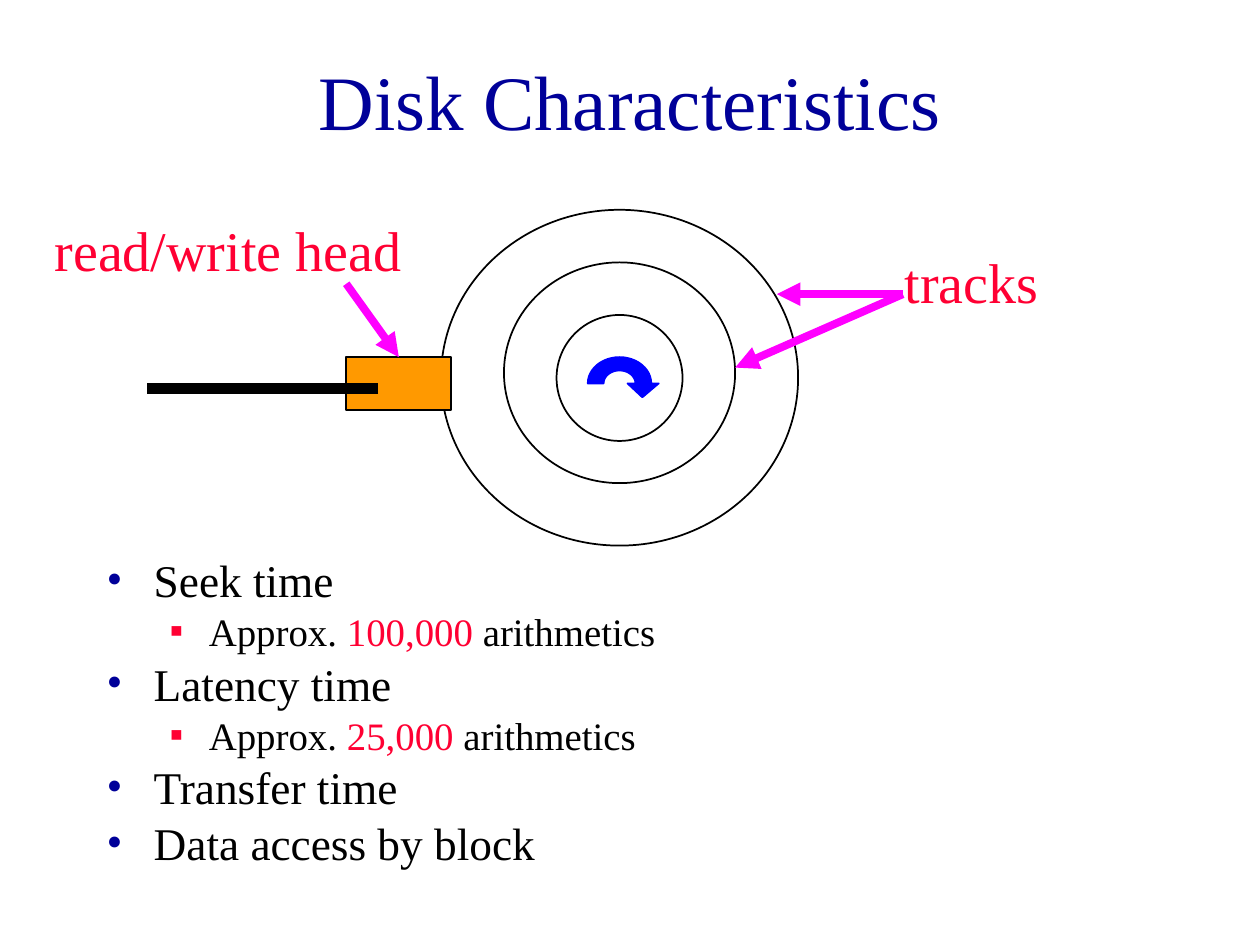
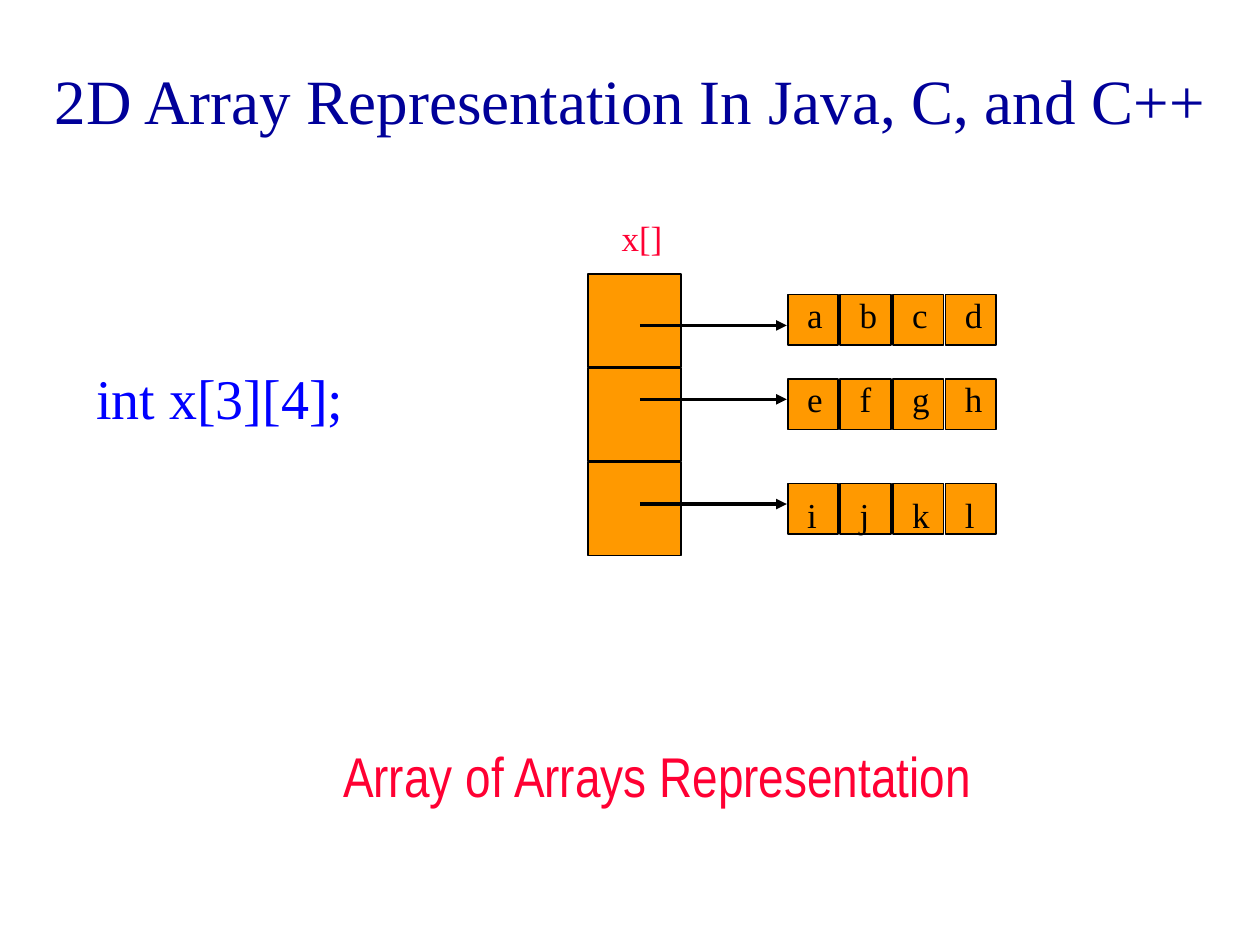
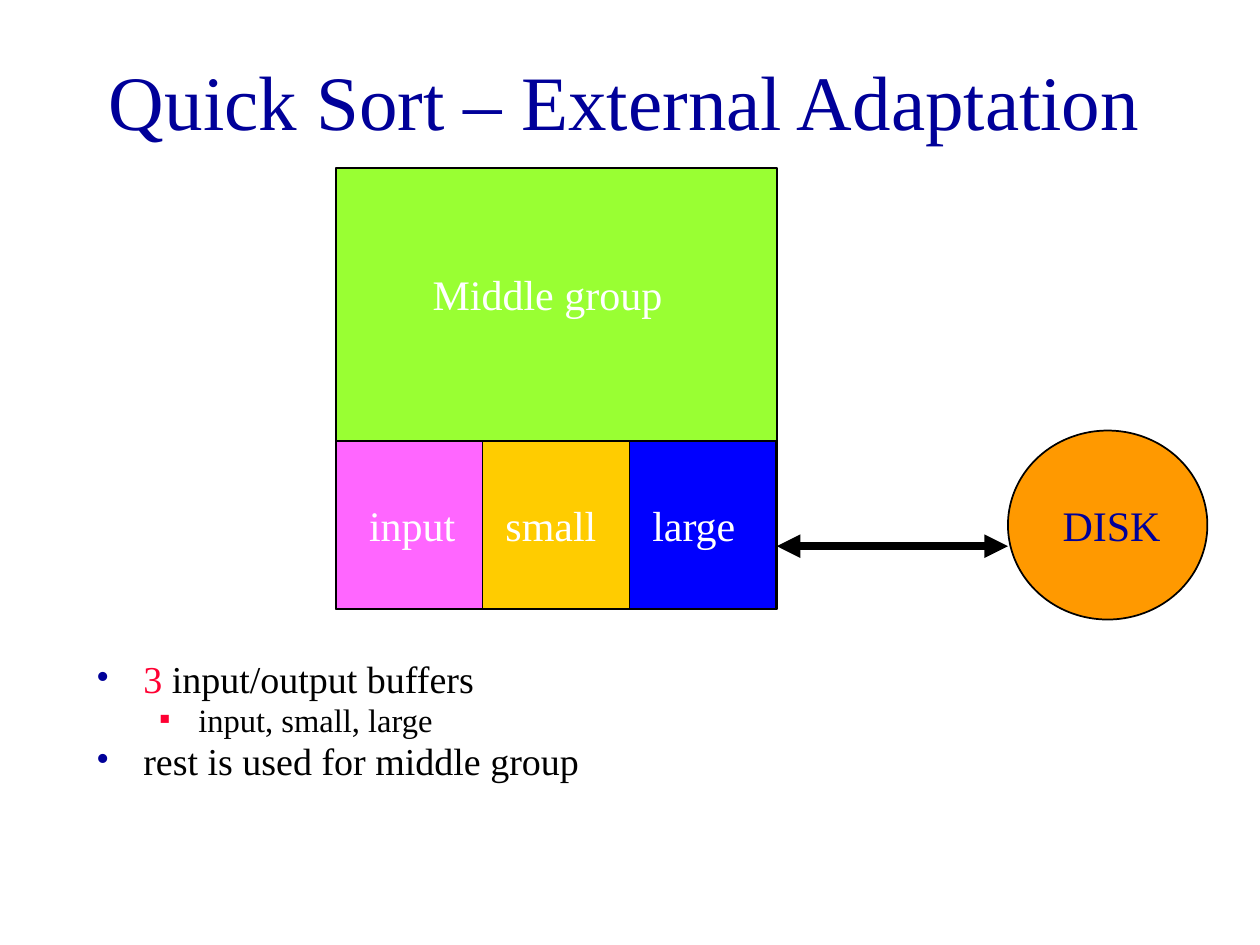
import math
from dataclasses import dataclass
from typing import NamedTuple, Optional

import lxml.etree
import pptx
import pptx.dml.color
import pptx.enum.shapes
import pptx.enum.text
import pptx.oxml.ns
import pptx.util

Cm = pptx.util.Cm
Pt = pptx.util.Pt
Kind = pptx.enum.shapes.MSO_SHAPE
Align = pptx.enum.text.PP_ALIGN


@dataclass(frozen=True)
class Theme:
    serif: str = "Times New Roman"
    narrow: str = "Arial Narrow"
    navy: str = "000099"
    red: str = "FF0033"
    black: str = "000000"
    white: str = "FFFFFF"
    blue: str = "0000FF"
    orange: str = "FF9900"
    magenta: str = "FF00FF"
    pink: str = "FF66FF"
    gold: str = "FFCC00"
    lime: str = "99FF33"
    title: float = 44
    long_title: float = 36
    large: float = 32
    medium: float = 24
    small: float = 20
    disk_list: tuple = (25.9, 22.2)
    sort_list: tuple = (21.7, 18.6)
    thin: float = 1
    mid: float = 2
    thick: float = 4.5
    bar: float = 6


class Box(NamedTuple):
    """Left, top, width and height in centimetres."""
    x: float
    y: float
    w: float
    h: float

    def emu(self) -> tuple:
        return tuple(Cm(v) for v in self)


class Level(NamedTuple):
    mark: str
    color: str
    left: float
    hang: float
    before: float


class Item(NamedTuple):
    """A bullet line; every second string of the text is red."""
    words: tuple
    level: int = 0


class Label(NamedTuple):
    text: str
    box: Box
    size: float
    color: str


class Arrow(NamedTuple):
    start: tuple
    end: tuple
    color: str
    width: float
    head: bool = False
    tail: bool = True


class Buffer(NamedTuple):
    name: str
    fill: str
    inset: float


T = Theme()
LEVELS = (Level("•", T.navy, 0.95, 0.95, 7), Level("▪", T.red, 2.06, 0.79, 6))


def rgb(code: str) -> pptx.dml.color.RGBColor:
    return pptx.dml.color.RGBColor.from_string(code)


def tag(parent, name: str, **attrs: str):
    return lxml.etree.SubElement(parent, pptx.oxml.ns.qn(name), attrs)


def write(par, text: str, *, size: float, color: str, font: str = T.serif) -> None:
    run = par.add_run()
    run.text = text
    run.font.size = Pt(size)
    run.font.name = font
    run.font.color.rgb = rgb(color)


def start(deck, title: str, box: Box, size: float = T.title):
    """Add a slide with its title and return it."""
    slide = deck.slides.add_slide(deck.slide_layouts[5])
    head = slide.shapes.title
    head.left, head.top, head.width, head.height = box.emu()
    frame = head.text_frame
    frame.auto_size = pptx.enum.text.MSO_AUTO_SIZE.NONE
    frame.vertical_anchor = pptx.enum.text.MSO_ANCHOR.MIDDLE
    par = frame.paragraphs[0]
    par.alignment = Align.CENTER
    write(par, title, size=size, color=T.navy)
    return slide


def frame_at(slide, box: Box):
    frame = slide.shapes.add_textbox(*box.emu()).text_frame
    frame.word_wrap = True
    return frame


def label(slide, item: Label, font: str = T.serif, align=Align.LEFT) -> None:
    par = frame_at(slide, item.box).paragraphs[0]
    par.alignment = align
    write(par, item.text, size=item.size, color=item.color, font=font)


def bullets(slide, box: Box, items: tuple, sizes: tuple, spacing: float) -> None:
    frame = frame_at(slide, box)
    for i, item in enumerate(items):
        par = frame.add_paragraph() if i else frame.paragraphs[0]
        level = LEVELS[item.level]
        par.level = item.level
        par.line_spacing = spacing
        par.space_before = Pt(level.before)
        props = par._p.get_or_add_pPr()
        props.set("marL", str(Cm(level.left)))
        props.set("indent", str(-Cm(level.hang)))
        tag(tag(props, "a:buClr"), "a:srgbClr", val=level.color)
        tag(props, "a:buFont", typeface=T.serif)
        tag(props, "a:buChar", char=level.mark)
        for n, text in enumerate(item.words):
            if text:
                write(par, text, size=sizes[item.level],
                      color=T.red if n % 2 else T.black)


def paint(shape, fill: Optional[str], line: str = T.black) -> None:
    shape.shadow.inherit = False
    if fill:
        shape.fill.solid()
        shape.fill.fore_color.rgb = rgb(fill)
    else:
        shape.fill.background()
    shape.line.color.rgb = rgb(line)
    shape.line.width = Pt(T.thin)


def draw(slide, box: Box, fill: Optional[str] = None, kind=Kind.RECTANGLE):
    shape = slide.shapes.add_shape(kind, *box.emu())
    paint(shape, fill)
    return shape


def link(slide, arrow: Arrow):
    line = slide.shapes.add_connector(
        pptx.enum.shapes.MSO_CONNECTOR.STRAIGHT,
        *(Cm(v) for v in arrow.start + arrow.end))
    line.line.color.rgb = rgb(arrow.color)
    line.line.width = Pt(arrow.width)
    ln = line.line.get_or_add_ln() if hasattr(line.line, "get_or_add_ln") else line.get_or_add_ln()
    for name, shown in (("a:headEnd", arrow.head), ("a:tailEnd", arrow.tail)):
        if shown:
            tag(ln, name, type="triangle")
    tag(line._element.spPr, "a:effectLst")
    return line


def spin(slide, x: float, y: float) -> None:
    """Draw the half-ring arrow that shows which way the disk turns."""
    def arc(rx: float, ry: float) -> list:
        turns = [math.pi * i / 24 for i in range(25)]
        return [(x + rx * math.cos(a), y - ry * math.sin(a)) for a in turns]

    tip = [(x + 0.79, y), (x + 0.46, y + 0.28), (x + 0.16, y)]
    points = [(Cm(a), Cm(b)) for a, b in arc(0.32, 0.26) + arc(0.64, 0.53)[::-1] + tip]
    outline = slide.shapes.build_freeform(*points[0])
    outline.add_line_segments(points[1:], close=True)
    paint(outline.convert_to_shape(), T.blue, T.blue)


def disk(deck) -> None:
    slide = start(deck, "Disk Characteristics", Box(1.9, 0.42, 21.6, 3.18))
    bullets(slide, Box(1.9, 11.22, 21.6, 6.56), (
        Item(("Seek time",)),
        Item(("Approx. ", "100,000", " arithmetics"), 1),
        Item(("Latency time",)),
        Item(("Approx. ", "25,000", " arithmetics"), 1),
        Item(("Transfer time",)),
        Item(("Data access by block",)),
    ), T.disk_list, 0.8)
    for ring in (Box(8.89, 4.23, 7.2, 6.77), Box(10.16, 5.29, 4.66, 4.45),
                 Box(11.22, 6.35, 2.54, 2.54)):
        draw(slide, ring, kind=Kind.OVAL)
    head = draw(slide, Box(6.98, 7.2, 2.12, 1.06), T.orange)
    link(slide, Arrow((7.62, 7.83), (2.96, 7.83), T.black, T.bar, tail=False))
    label(slide, Label("tracks", Box(17.99, 4.87, 6.35, 1.63), T.large, T.red))
    label(slide, Label("read/write head", Box(0.85, 4.23, 8.26, 1.63), T.large, T.red))
    link(slide, Arrow((6.98, 5.72), (8.04, 7.2), T.magenta, T.thick)).end_connect(head, 0)
    for end in ((14.82, 7.41), (15.66, 5.93)):
        link(slide, Arrow((18.2, 5.93), end, T.magenta, T.thick))
    spin(slide, 12.49, 7.73)


def array(deck) -> None:
    slide = start(deck, "2D Array Representation In Java, C, and C++",
                  Box(0.64, 0.42, 24.13, 3.18), T.long_title)
    label(slide, Label("int x[3][4];", Box(1.69, 7.2, 6.35, 1.9), T.large, T.blue))
    for i in range(3):
        draw(slide, Box(11.85, 5.52 + 1.9 * i, 1.88, 1.88), T.orange)
    rows = (("abcd", 5.94, 6.56, 5.79), ("efgh", 7.64, 8.05, 7.49),
            ("ijkl", 9.75, 10.16, 9.83))
    for letters, top, mid, text_top in rows:
        for i, letter in enumerate(letters):
            x = 15.88 + 1.06 * i
            draw(slide, Box(x, top, 1.02, 1.02), T.orange)
            label(slide, Label(letter, Box(x + 0.14, text_top, 1.02, 1.09),
                               T.small, T.black))
        link(slide, Arrow((12.9, mid), (15.86, mid), T.black, T.mid))
    label(slide, Label("x[]", Box(12.28, 4.23, 2.12, 1.09), T.small, T.red))
    label(slide, Label("Array of Arrays Representation", Box(5.29, 14.82, 15.93, 1.58),
                       T.large, T.red), T.narrow, Align.CENTER)


def sort(deck) -> None:
    slide = start(deck, "Quick Sort – External Adaptation", Box(1.27, 0.42, 22.65, 3.18))
    bullets(slide, Box(1.69, 13.34, 21.6, 2.54), (
        Item(("", "3", " input/output buffers")),
        Item(("input, small, large",), 1),
        Item(("rest is used for middle group",)),
    ), T.sort_list, 0.7)
    draw(slide, Box(6.77, 3.39, 8.89, 8.89), T.lime)
    draw(slide, Box(20.32, 8.68, 4.02, 3.81), T.orange, Kind.OVAL)
    label(slide, Label("DISK", Box(21.17, 9.95, 3.39, 1.27), T.medium, T.navy))
    link(slide, Arrow((15.66, 11.01), (20.32, 11.01), T.black, T.thick, head=True))
    buffers = (Buffer("input", T.pink, 0.42), Buffer("small", T.gold, 0.21),
               Buffer("large", T.blue, 0.21))
    for i, buffer in enumerate(buffers):
        x = 6.77 + 2.96 * i
        draw(slide, Box(x, 8.89, 2.96, 3.39), buffer.fill)
        label(slide, Label(buffer.name, Box(x + buffer.inset, 9.95, 2.54, 1.27),
                           T.medium, T.white))
    label(slide, Label("Middle group", Box(8.47, 5.29, 5.72, 1.27), T.medium, T.white))


def main() -> None:
    deck = pptx.Presentation()
    deck.slide_width, deck.slide_height = Cm(25.4), Cm(19.05)
    for build in (disk, array, sort):
        build(deck)
    deck.save("out.pptx")


if __name__ == "__main__":
    main()
